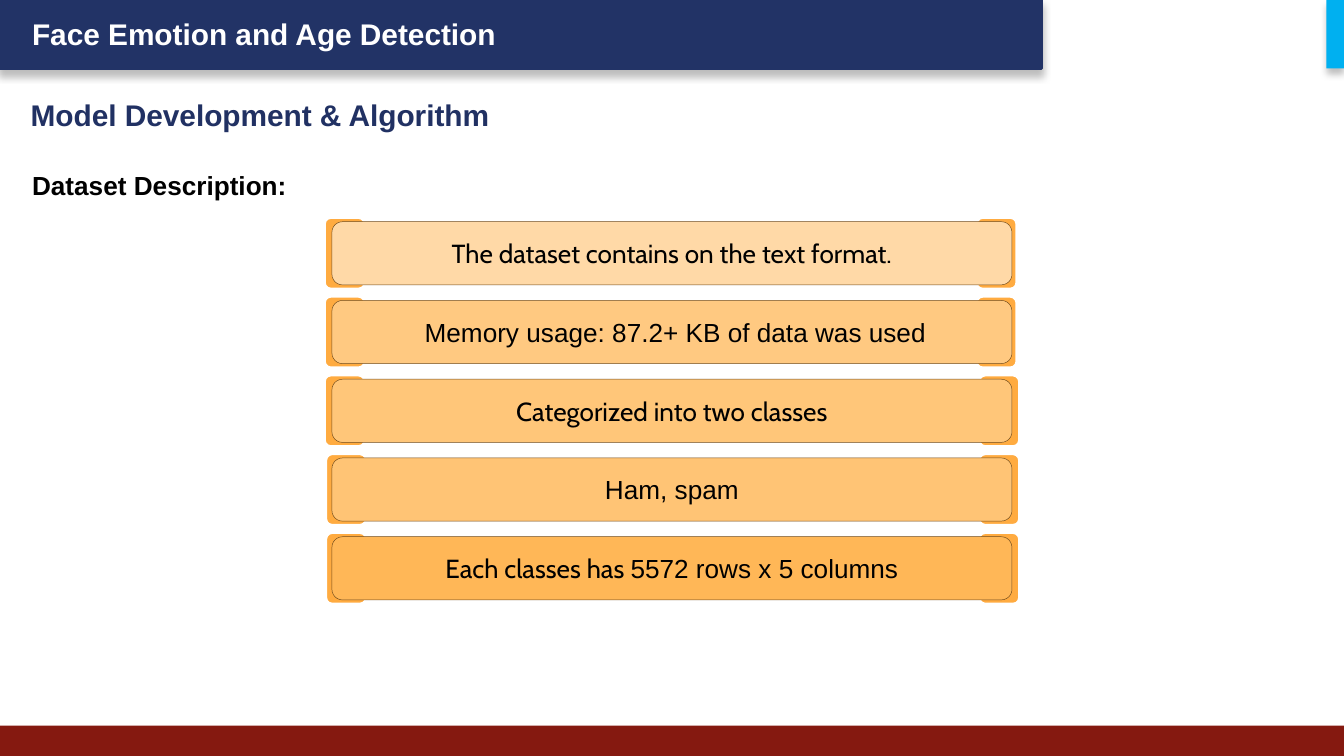
from lxml import etree
from pptx import Presentation
from pptx.dml.color import RGBColor
from pptx.enum.shapes import MSO_SHAPE
from pptx.enum.text import MSO_ANCHOR, PP_ALIGN
from pptx.oxml.ns import qn
from pptx.util import Inches, Pt

RECT, ROUNDED = MSO_SHAPE.RECTANGLE, MSO_SHAPE.ROUNDED_RECTANGLE
TOP, MIDDLE = MSO_ANCHOR.TOP, MSO_ANCHOR.MIDDLE
LEFT, CENTER = PP_ALIGN.LEFT, PP_ALIGN.CENTER

NAVY = RGBColor(0x22, 0x33, 0x66)
HEADING = RGBColor(0x21, 0x31, 0x63)
MAROON = RGBColor(0x85, 0x19, 0x10)
CYAN = RGBColor(0x00, 0xB0, 0xF0)
ORANGE = RGBColor(0xFF, 0xAB, 0x40)
BROWN = RGBColor(0x70, 0x4B, 0x1C)
WHITE = RGBColor(0xFF, 0xFF, 0xFF)
BLACK = RGBColor(0x00, 0x00, 0x00)

CELL = 0.1  # inches per grid column and row
CARD_TOP, CARD_PITCH = 16.5, 5.86

# fill, columns of the two tabs, runs of (text, font)
CARDS = [
    (RGBColor(0xFF, 0xD9, 0xA7), (24.1, 72.6),
     [("The dataset contains on the text format.", "Cabin")]),
    (RGBColor(0xFF, 0xC9, 0x81), (24.1, 72.6),
     [(" Memory usage: 87.2+ KB of data was used", "Arial")]),
    (RGBColor(0xFF, 0xC6, 0x79), (24.1, 72.8),
     [("Categorized into two classes", "Cabin")]),
    (RGBColor(0xFF, 0xC4, 0x75), (24.2, 72.8),
     [("Ham, spam", "Arial")]),
    (RGBColor(0xFF, 0xB7, 0x57), (24.2, 72.8),
     [("Each classes has ", "Cabin"), ("5572 rows x 5 columns", "Arial")]),
]


class SlideBuilder:
    """Places styled elements on a slide; positions are in grid cells."""

    def __init__(self, slide):
        self.s = slide

    def box(self, col, row, cols, rows):
        return [Inches(n * CELL) for n in (col, row, cols, rows)]

    def shape(self, kind, place, fill, line=None, width=0):
        sp = self.s.shapes.add_shape(kind, *self.box(*place))
        sp.shadow.inherit = False
        sp.fill.solid()
        sp.fill.fore_color.rgb = fill
        if line is None:
            sp.line.fill.background()
        else:
            sp.line.color.rgb = line
            sp.line.width = Pt(width)
        return sp

    def drop_shadow(self, sp):
        effects = sp._element.spPr.find(qn("a:effectLst"))
        shadow = etree.SubElement(
            effects, qn("a:outerShdw"), blurRad=str(Pt(4)), dist=str(Pt(3)),
            dir="5400000", algn="t", rotWithShape="0")
        color = etree.SubElement(shadow, qn("a:srgbClr"), val=str(BLACK))
        etree.SubElement(color, qn("a:alpha"), val="25000")

    def heading(self, place, text, size, color, inset=0.1):
        sp = self.s.shapes.add_textbox(*self.box(*place))
        tf = sp.text_frame
        tf.word_wrap = True
        tf.vertical_anchor = TOP
        tf.margin_top = tf.margin_bottom = Inches(inset)
        p = tf.paragraphs[0]
        p.text = text
        p.alignment = LEFT
        p.font.name, p.font.size, p.font.bold = "Arial", Pt(size), True
        p.font.color.rgb = color

    def tab(self, col, row):
        self.shape(ROUNDED, (col, row, 3.1, 5.4), ORANGE, WHITE, 2)

    def card(self, row, fill, runs):
        sp = self.shape(ROUNDED, (24.7, row, 50.6, 4.7), fill, BROWN, 0.25)
        tf = sp.text_frame
        tf.word_wrap = True
        tf.vertical_anchor = MIDDLE
        p = tf.paragraphs[0]
        p.alignment = CENTER
        p.font.size = Pt(14)
        p.font.color.rgb = BLACK
        for text, font in runs:
            r = p.add_run()
            r.text = text
            r.font.name = font


def main():
    prs = Presentation()
    prs.slide_width = Inches(10)
    prs.slide_height = prs.slide_width * 9 // 16
    b = SlideBuilder(prs.slides.add_slide(prs.slide_layouts[6]))

    b.drop_shadow(b.shape(RECT, (0, 0, 77.5, 5.1), NAVY, NAVY, 2))
    b.shape(RECT, (0, 54, 100, 2.25), MAROON)
    b.heading((1.4, 0.7, 42.5, 3.7), "Face Emotion and Age Detection",
              16, WHITE, 0.05)
    b.drop_shadow(b.shape(RECT, (98.7, 0, 1.3, 5.1), CYAN))

    rows = [CARD_TOP + i * CARD_PITCH for i in range(len(CARDS))]
    for row, (_, tab_cols, _) in zip(rows, CARDS):
        for col in tab_cols:
            b.tab(col, row - 0.35)

    b.heading((1.3, 6.2, 48.7, 4.7), "Model Development & Algorithm",
              16, HEADING)
    b.heading((1.4, 11.6, 48, 5.5), "Dataset Description:", 14, BLACK)

    for row, (fill, _, runs) in zip(rows, CARDS):
        b.card(row, fill, runs)

    prs.save("out.pptx")


if __name__ == "__main__":
    main()
